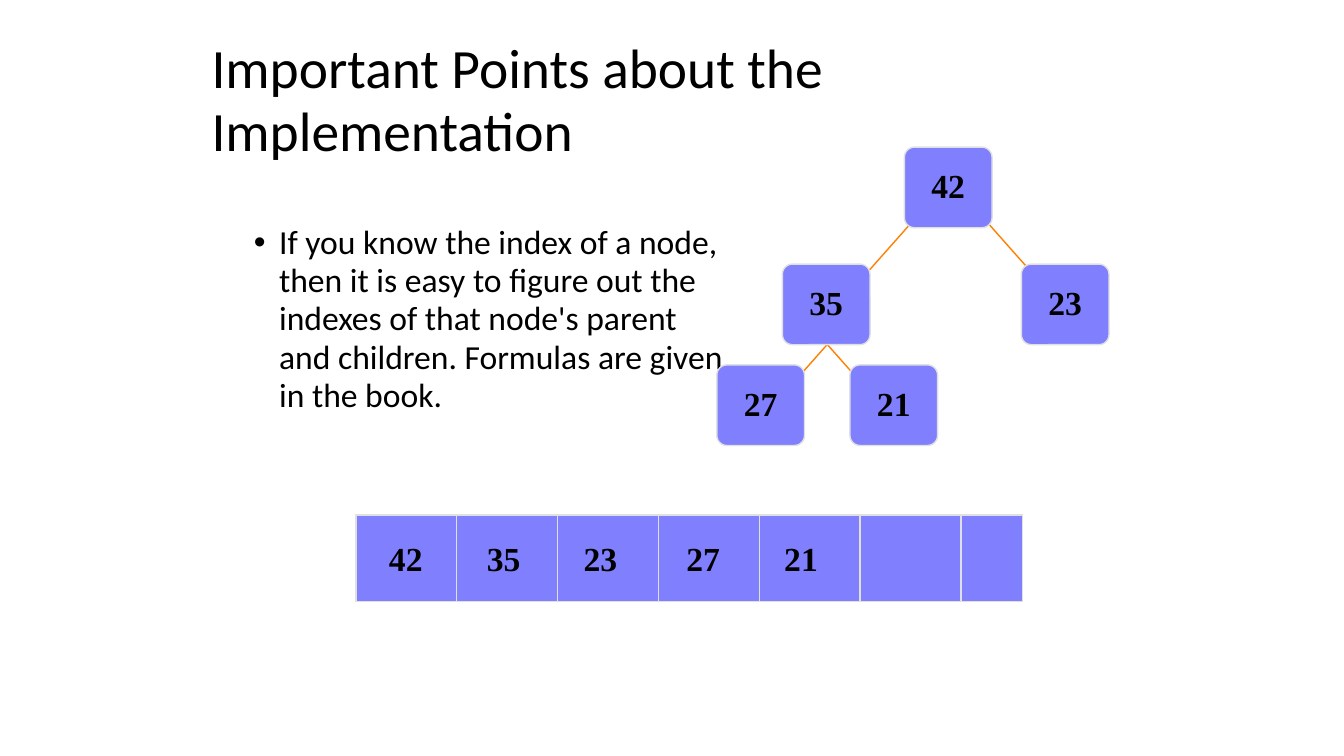
from lxml import etree
from pptx import Presentation
from pptx.dml.color import RGBColor
from pptx.enum.shapes import MSO_CONNECTOR as Connector, MSO_SHAPE as Shape
from pptx.enum.text import MSO_ANCHOR as Anchor, PP_ALIGN as Align
from pptx.oxml.ns import qn
from pptx.util import Inches, Pt

COLORS = {"text": "000000", "cell": "8080FF", "border": "E0E0E0", "edge": "FF8000"}
NODE_WIDTH, NODE_HEIGHT = 0.87, 0.8
EDGE_RUN, EDGE_RISE = 0.62, 0.7
NODES = [("21", 1.32, 2.16), ("27", 0, 2.16), ("23", 3.02, 1.16),
         ("42", 1.86, 0), ("35", 0.65, 1.16)]
EDGES = [(0.92, 1.76, 1), (1.27, 1.76, -1), (2.65, 0.71, 1), (1.92, 0.76, -1)]
ARRAY_VALUES = [("42", 0.23), ("35", 1.2), ("23", 2.16), ("27", 3.18), ("21", 4.15)]


def color(name):
    return RGBColor.from_string(COLORS[name])


def write(frame, text, size, face, bold=False):
    para = frame.paragraphs[0]
    para.text = text
    para.line_spacing = 0.95
    para.font.size = Pt(size)
    para.font.name = face
    para.font.bold = bold
    para.font.color.rgb = color("text")
    return para


def add_text(page, left, top, width, height, wrap=True):
    frame = page.shapes.add_textbox(*map(Inches, (left, top, width, height))).text_frame
    frame.word_wrap = wrap
    return frame


def add_line(page, start, end, name):
    line = page.shapes.add_connector(Connector.STRAIGHT, *map(Inches, (*start, *end)))
    line.line.color.rgb = color(name)
    line.line.width = Pt(1)
    etree.SubElement(line._element.spPr, qn("a:effectLst"))


def add_block(page, kind, left, top, width, height):
    block = page.shapes.add_shape(kind, *map(Inches, (left, top, width, height)))
    block.shadow.inherit = False
    block.fill.solid()
    block.fill.fore_color.rgb = color("cell")
    block.line.color.rgb = color("border")
    block.line.width = Pt(1)
    return block


def add_title(page, left, top, width, height):
    frame = add_text(page, left, top, width, height)
    frame.vertical_anchor = Anchor.MIDDLE
    write(frame, "Important Points about the Implementation", 39.6, "Calibri")


def add_body(page, left, top, width, height):
    frame = add_text(page, left, top, width, height)
    properties = frame.paragraphs[0]._p.get_or_add_pPr()
    properties.set("marL", str(Inches(0.25)))
    properties.set("indent", str(Inches(-0.25)))
    etree.SubElement(properties, qn("a:buFont"), typeface="Arial")
    etree.SubElement(properties, qn("a:buChar"), char="•")
    write(frame, "If you know the index of a node, then it is easy to figure out "
          "the indexes of that node's parent and children. Formulas are given "
          "in the book.", 24, "Calibri")


def add_tree(page, left, top):
    for x, y, direction in EDGES:
        start = (left + x, top + y)
        end = (start[0] + direction * EDGE_RUN, start[1] + EDGE_RISE)
        add_line(page, start, end, "edge")
    for value, x, y in NODES:
        node = add_block(page, Shape.ROUNDED_RECTANGLE, left + x, top + y,
                         NODE_WIDTH, NODE_HEIGHT)
        node.adjustments[0] = 0.126
        node.text_frame.vertical_anchor = Anchor.MIDDLE
        para = write(node.text_frame, value, 24, "Times New Roman", True)
        para.alignment = Align.CENTER


def add_array(page, left, top, width, height):
    add_block(page, Shape.RECTANGLE, left, top, width, height)
    for index in range(1, 7):
        add_line(page, (left + index, top), (left + index, top + height), "border")
    for value, x in ARRAY_VALUES:
        frame = add_text(page, left + x, top + 0.21, 0.53, 0.5, wrap=False)
        write(frame, value, 24, "Times New Roman", True)


def main():
    deck = Presentation()
    deck.slide_width, deck.slide_height = Inches(13.33), Inches(7.5)
    page = deck.slides.add_slide(deck.slide_layouts[6])
    add_title(page, 2, 0.26, 8.5, 1.48)
    add_body(page, 2.42, 2.17, 4.87, 4.5)
    add_array(page, 3.53, 5.11, 6.61, 0.86)
    add_tree(page, 7.11, 1.46)
    deck.save("out.pptx")


if __name__ == "__main__":
    main()
